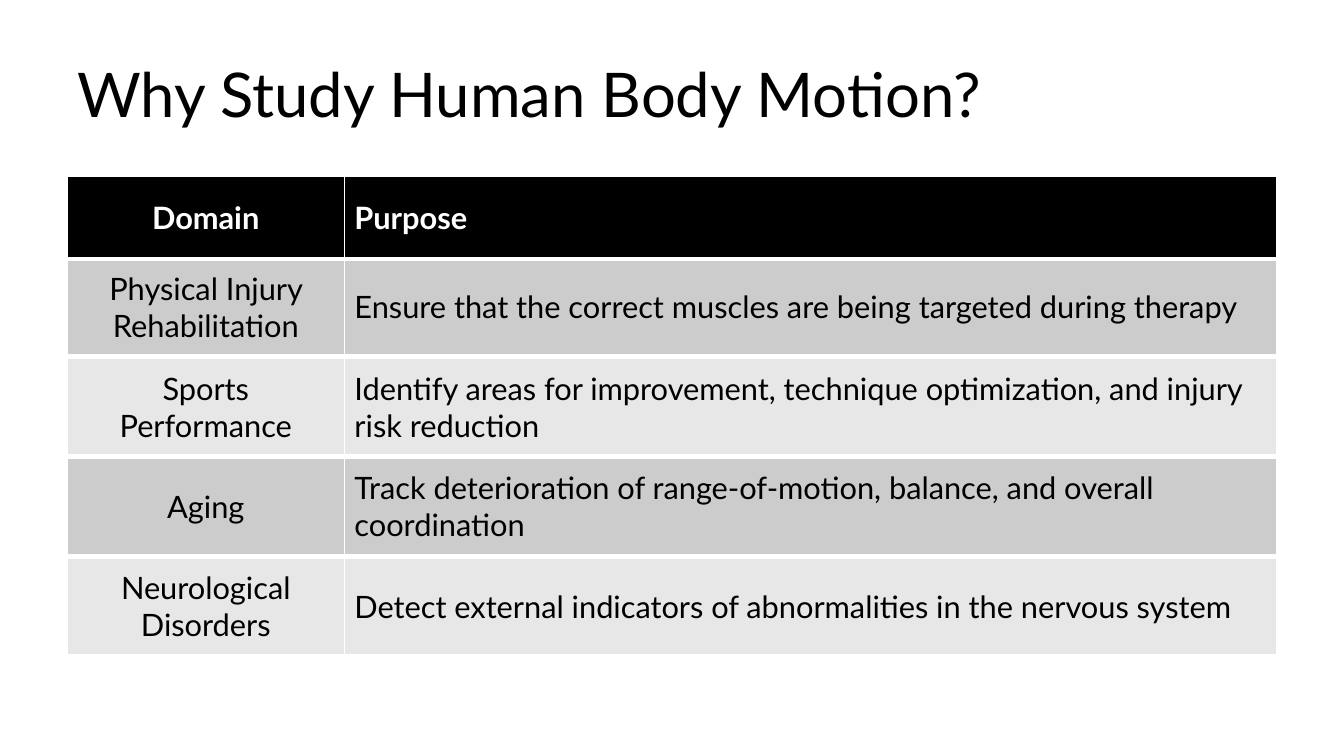
from lxml import etree
from pptx import Presentation
from pptx.dml.color import RGBColor
from pptx.enum.text import MSO_ANCHOR, PP_ALIGN
from pptx.oxml.ns import qn
from pptx.util import Pt

LEFT, CENTER = PP_ALIGN.LEFT, PP_ALIGN.CENTER
MIDDLE = MSO_ANCHOR.MIDDLE
FONT = "Lato"
BLACK, WHITE, DARK_BAND, LIGHT_BAND = "000000", "FFFFFF", "CCCCCC", "E7E7E7"

COLUMN_WIDTHS = (198, 666)
HEADER_HEIGHT, ROW_HEIGHT, ROW_GAP = 59, 68.4, 2.9

HEADER = ("Domain", "Purpose")
DOMAINS = [
    ("Physical Injury Rehabilitation",
     "Ensure that the correct muscles are being targeted during therapy"),
    ("Sports Performance",
     "Identify areas for improvement, technique optimization, and injury risk reduction"),
    ("Aging",
     "Track deterioration of range-of-motion, balance, and overall coordination"),
    ("Neurological Disorders",
     "Detect external indicators of abnormalities in the nervous system"),
]


def rgb(color):
    return RGBColor.from_string(color)


def write(tf, text, align, size, color, bold=False):
    tf.vertical_anchor = MIDDLE
    p = tf.paragraphs[0]
    p.alignment = align
    r = p.add_run()
    r.text = text
    font_format = {"name": FONT, "size": Pt(size), "bold": bold}
    for name, value in font_format.items():
        setattr(r.font, name, value)
    r.font.color.rgb = rgb(color)


def add_borders(cell, bottom):
    tcPr = cell._tc.get_or_add_tcPr()
    widths = {"a:lnL": 1, "a:lnR": 1, "a:lnT": 1, "a:lnB": bottom}
    for tag, width in widths.items():
        ln = etree.SubElement(tcPr, qn(tag), w=str(Pt(width)))
        fill = etree.SubElement(ln, qn("a:solidFill"))
        etree.SubElement(fill, qn("a:srgbClr"), val=WHITE)


def add_title(s, left, top, width, height):
    title = s.shapes.title
    box = {"left": left, "top": top, "width": width, "height": height}
    for name, value in box.items():
        setattr(title, name, Pt(value))
    write(title.text_frame, "Why Study Human Body Motion?", LEFT, 44, BLACK)


def add_band(s, left, top, rows):
    """Place one table; each row is (texts, height, fill, text colour, bold, bottom border)."""
    height = sum(row[1] for row in rows)
    table = s.shapes.add_table(len(rows), len(COLUMN_WIDTHS), Pt(left), Pt(top),
                               Pt(sum(COLUMN_WIDTHS)), Pt(height)).table
    table.first_row = table.horz_banding = False
    for column, width in zip(table.columns, COLUMN_WIDTHS):
        column.width = Pt(width)
    for row, (texts, row_height, fill, color, bold, bottom) in zip(table.rows, rows):
        row.height = Pt(row_height)
        for cell, text, align in zip(row.cells, texts, (CENTER, LEFT)):
            add_borders(cell, bottom)
            cell.fill.solid()
            cell.fill.fore_color.rgb = rgb(fill)
            cell.vertical_anchor = MIDDLE
            write(cell.text_frame, text, align, 22, color, bold)
    return top + height


def add_domains(s, left, top):
    # The header shares a table with the first domain; the others stand alone
    for i, texts in enumerate(DOMAINS):
        fill = LIGHT_BAND if i % 2 else DARK_BAND
        rows = [(texts, ROW_HEIGHT, fill, BLACK, False, 1)]
        if i == 0:
            rows.insert(0, (HEADER, HEADER_HEIGHT, BLACK, WHITE, True, 3))
        top = add_band(s, left, top, rows) + ROW_GAP


def main():
    prs = Presentation()
    prs.slide_width, prs.slide_height = Pt(960), Pt(540)
    s = prs.slides.add_slide(prs.slide_layouts[5])
    add_title(s, 48, 21.6, 864, 90)
    add_domains(s, 48, 126)
    prs.save("out.pptx")


if __name__ == "__main__":
    main()
